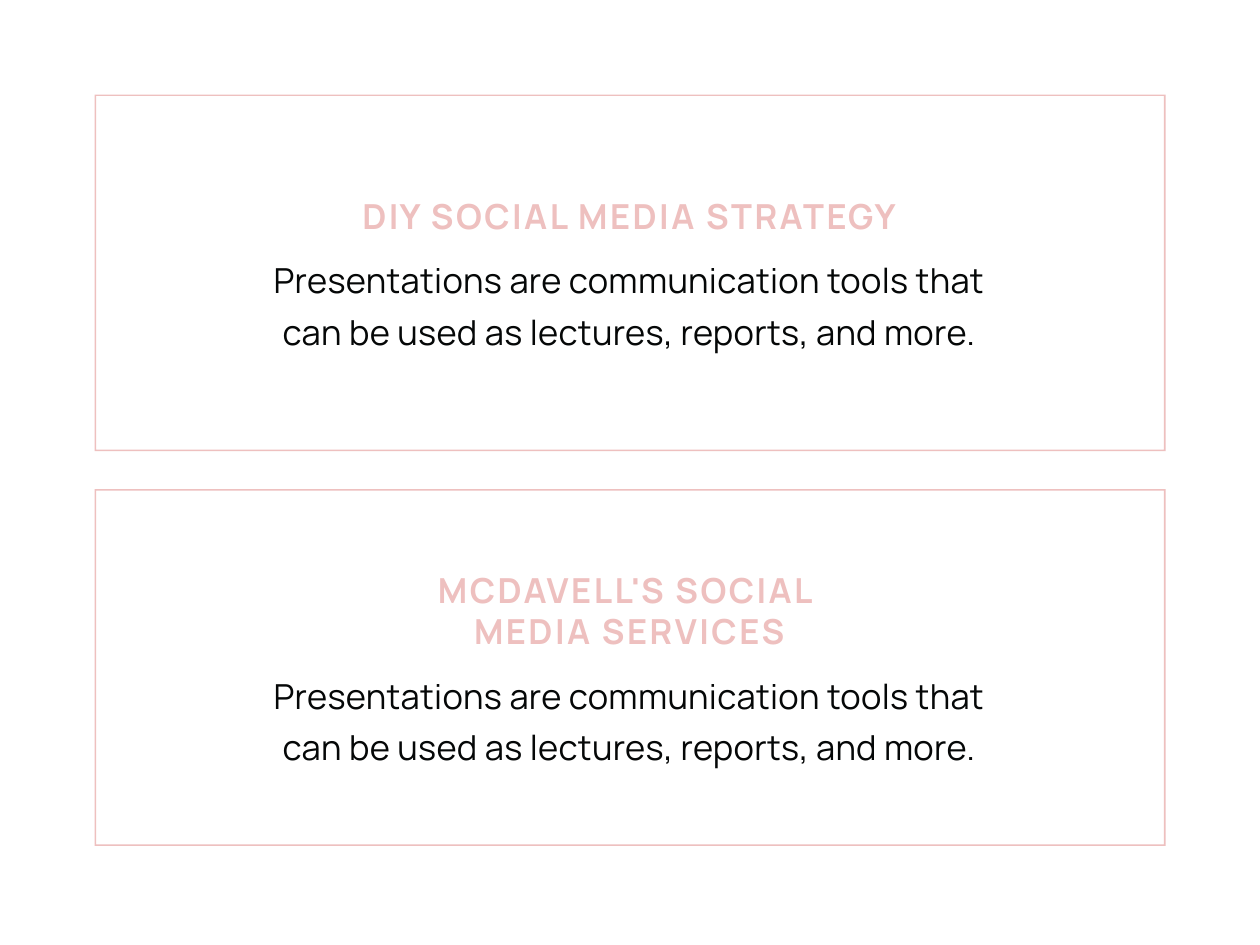
from dataclasses import dataclass

from pptx import Presentation
from pptx.dml.color import RGBColor
from pptx.enum.shapes import MSO_SHAPE
from pptx.enum.text import PP_ALIGN
from pptx.slide import Slide
from pptx.util import Inches, Pt

WIDE, HIGH = 10.67, 8
COLORS = {"pink": "EEC0BF", "ink": "050707"}

# Card grid: one column, equal rows
LEFT, TOP = 0.075 * WIDE, 0.1 * HIGH
CARD_W, CARD_H = 0.85 * WIDE, 3.02
PITCH = CARD_H + 0.04 * HIGH
EDGE = 0.013

# Text column, centred in each card
TEXT_X, TEXT_W = 2.26, 6.14
HEAD_LINE, HEAD_PAD = 0.35, 0.02
GAP, BODY_H = 0.09, 0.84


@dataclass
class Style:
    color: str
    lead: float
    track: float
    bold: bool


@dataclass
class Card:
    head: list[str]
    body: str


HEAD = Style("pink", 25.2, 1.5, True)
BODY = Style("ink", 31.5, 0.2, False)

TEXT = ("Presentations are communication tools that can be used "
        "as lectures, reports, and more.")
CARDS = [
    Card(["DIY SOCIAL MEDIA STRATEGY"], TEXT),
    Card(["MCDAVELL'S SOCIAL ", "MEDIA SERVICES"], TEXT),
]


def add_text(slide: Slide, top: float, high: float,
             lines: list[str], style: Style) -> None:
    box = slide.shapes.add_textbox(
        Inches(TEXT_X), Inches(top), Inches(TEXT_W), Inches(high))
    frame = box.text_frame
    frame.word_wrap = True
    frame.margin_left = frame.margin_right = 0
    frame.margin_top = frame.margin_bottom = 0
    frame.text = "\n".join(lines)
    for para in frame.paragraphs:
        para.alignment = PP_ALIGN.CENTER
        para.line_spacing = Pt(style.lead)
        font = para.font
        font.name, font.size, font.bold = "Manrope", Pt(21), style.bold
        font.color.rgb = RGBColor.from_string(COLORS[style.color])
        for run in para.runs:  # letter spacing, in hundredths of a point
            run.font._element.set("spc", str(round(style.track * 100)))


def add_card(slide: Slide, row: int, card: Card) -> None:
    top = TOP + row * PITCH

    # Thin border
    edge = slide.shapes.add_shape(
        MSO_SHAPE.FRAME, Inches(LEFT), Inches(top),
        Inches(CARD_W), Inches(CARD_H))
    edge.adjustments[0] = EDGE / CARD_H
    edge.shadow.inherit = False
    edge.fill.solid()
    edge.fill.fore_color.rgb = RGBColor.from_string(COLORS["pink"])
    edge.line.fill.background()

    # Heading and body, centred as one block
    head_h = HEAD_LINE * len(card.head) + HEAD_PAD
    start = top + (CARD_H - head_h - GAP - BODY_H) / 2 - 0.01
    add_text(slide, start, head_h, card.head, HEAD)
    add_text(slide, start + head_h + GAP, BODY_H, [card.body], BODY)


def main() -> None:
    deck = Presentation()
    deck.slide_width, deck.slide_height = Inches(WIDE), Inches(HIGH)
    slide = deck.slides.add_slide(deck.slide_layouts[6])
    for row, card in enumerate(CARDS):
        add_card(slide, row, card)
    deck.save("out.pptx")


if __name__ == "__main__":
    main()
